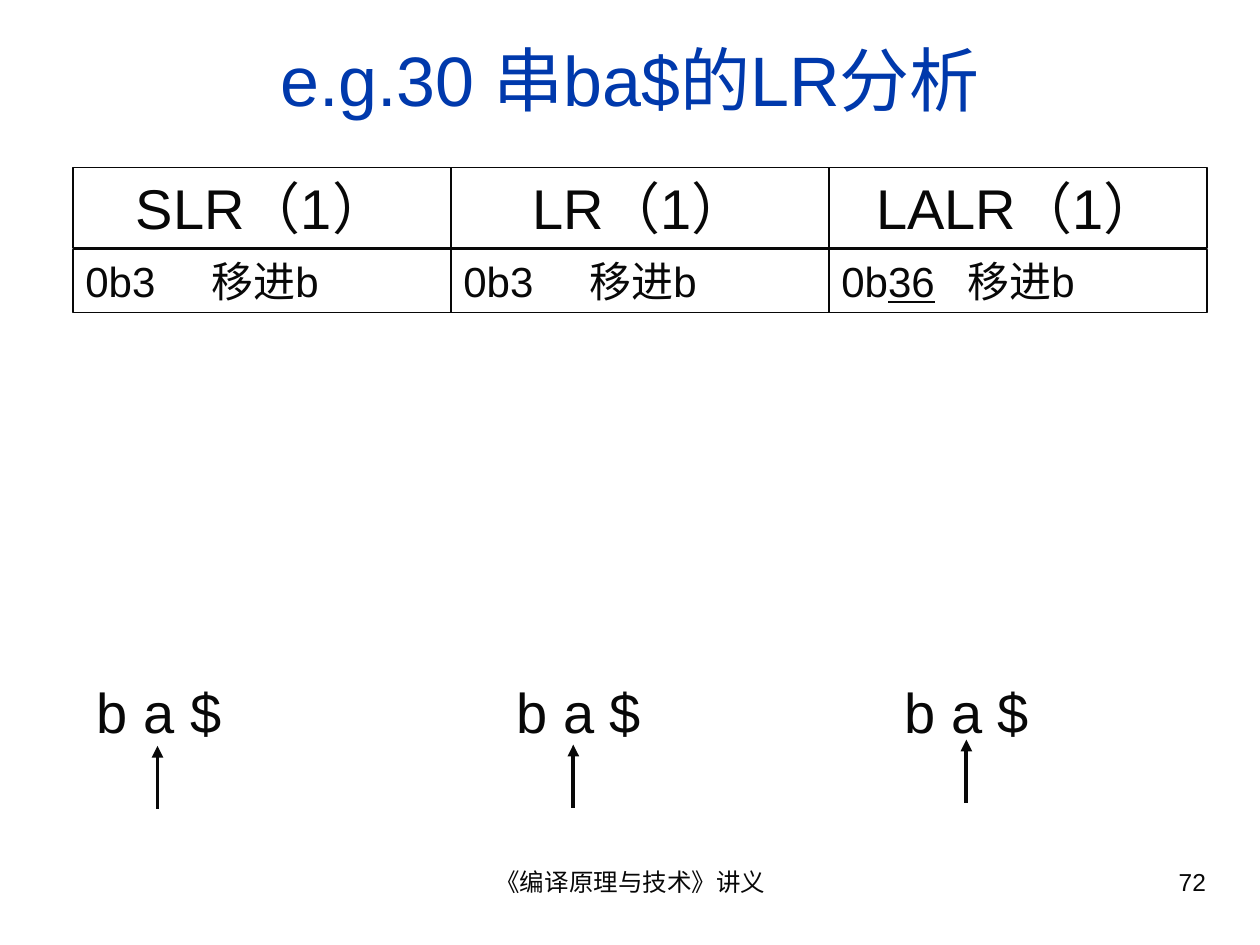
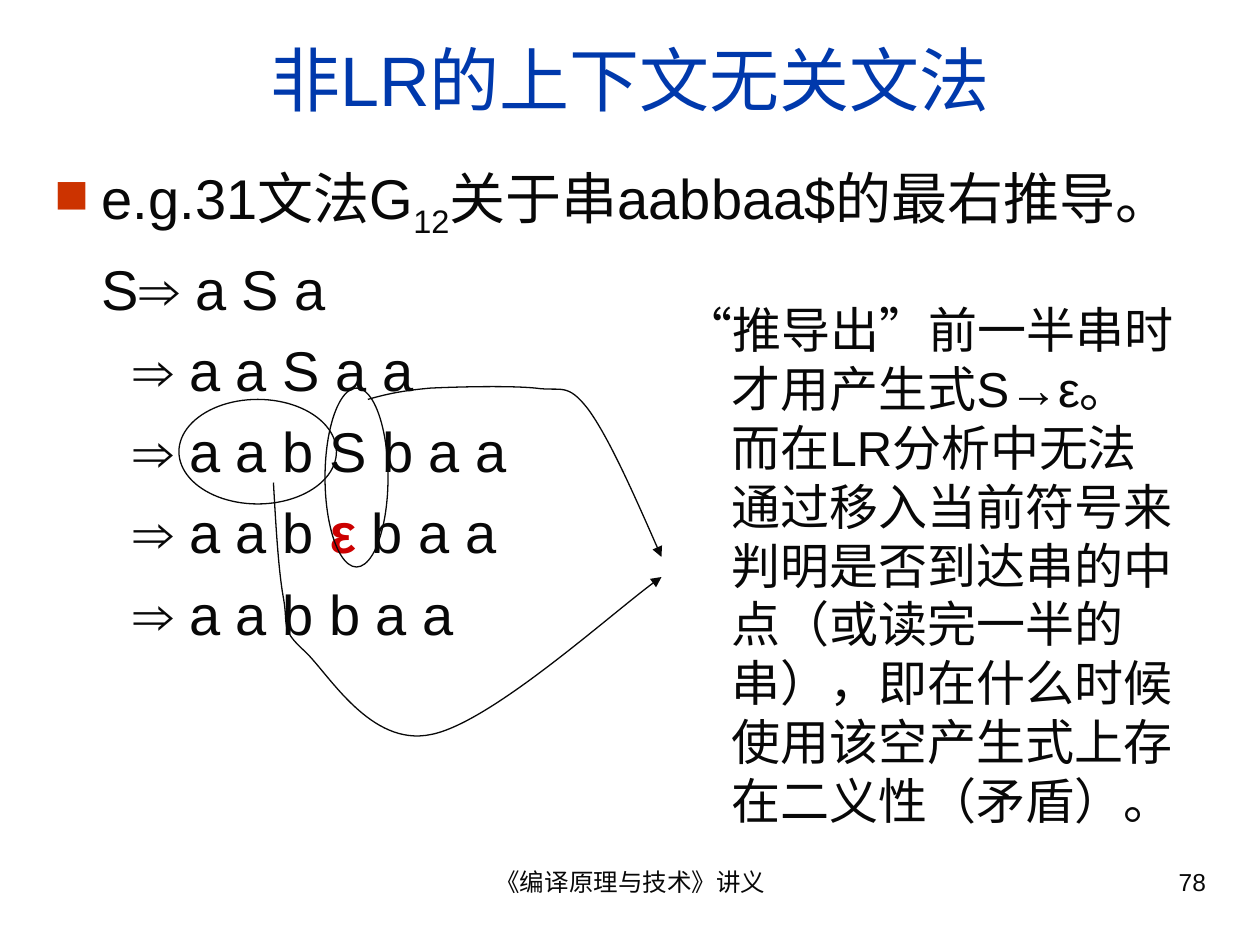
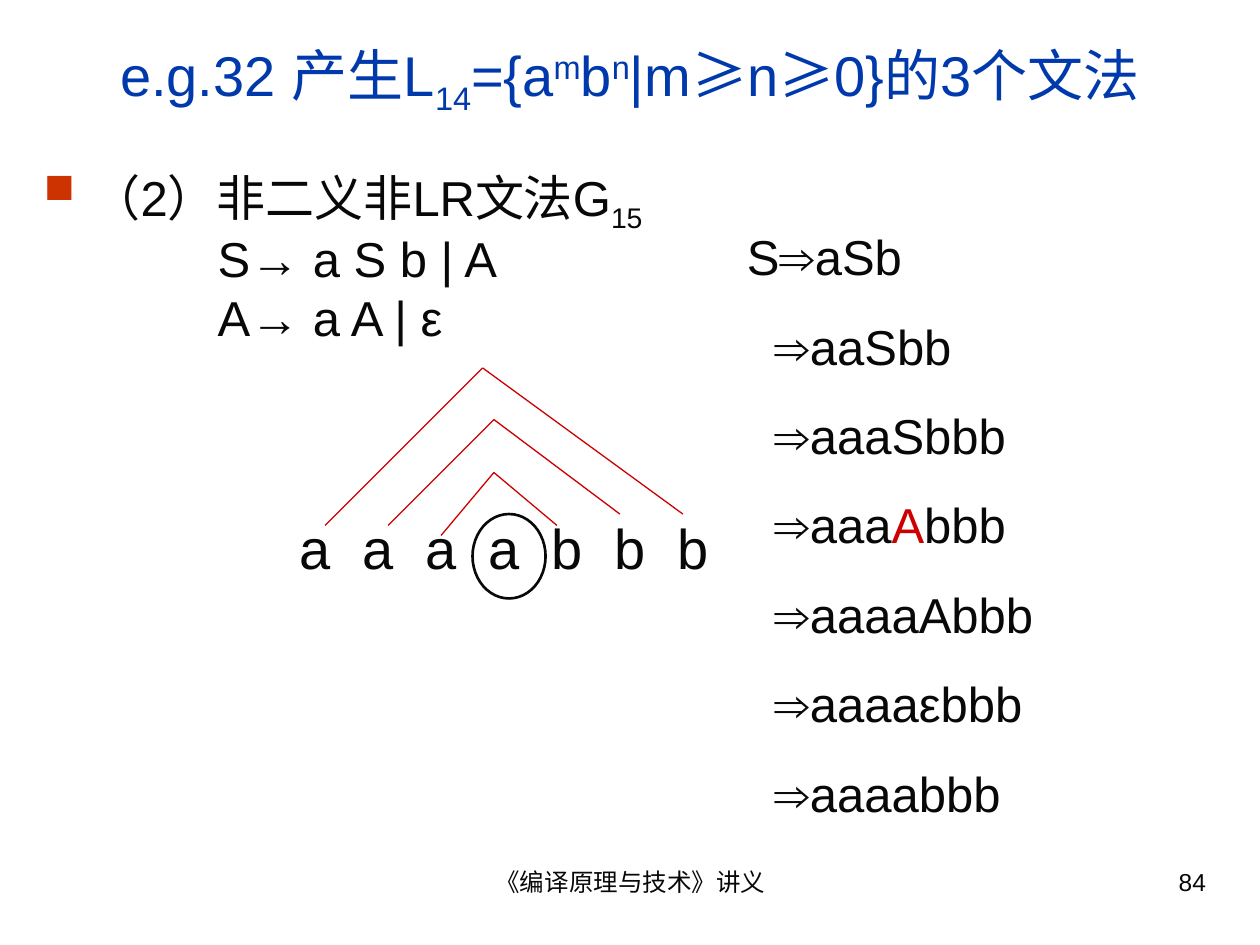
from itertools import pairwise

from lxml import etree
from pptx import Presentation
from pptx.dml.color import RGBColor
from pptx.enum.shapes import MSO_CONNECTOR, MSO_SHAPE
from pptx.enum.text import MSO_ANCHOR, PP_ALIGN
from pptx.oxml.ns import qn
from pptx.util import Inches, Pt

# Shared look
INK, BLUE, RED, BULLET = "080808", "0039AC", "CC0000", "CC3300"
LATIN, HAN = "Arial", "Noto Sans CJK SC"
FOOTER = "《编译原理与技术》讲义"
HANG = 0.38
SUB, SUP = {"base": -25}, {"base": 30}

# Slide 1: LR analysis; a paragraph is a list of (text, style) runs
LR_TITLE = [("e.g.30 串ba$的LR分析", {})]
LR_METHODS = ["SLR（1）", "LR（1）", "LALR（1）"]
# runs of the step and where its action starts
LR_STEPS = [
    ([("0b3\t移进b", {})], 1.75),
    ([("0b3\t移进b", {})], 1.84),
    ([("0b", {}), ("36", {"underline": True}), ("\t移进b", {})], 1.84),
]
# left of the input string, x and tip of its pointer
LR_INPUTS = [(0.67, 1.25, 5.92), (4, 4.55, 5.91), (7.08, 7.67, 5.87)]

# Slide 2: non-LR grammar
NON_LR_TITLE = [("非LR的上下文无关文法", {})]
NON_LR_HEADING = [("e.g.31文法G", {}), ("12", SUB),
                  ("关于串aabbaa$的最右推导。", {})]
NON_LR_STEPS = [
    [("S⇒ a S a", {})],
    [("⇒ a a S a a", {})],
    [("⇒ a a b S b a a", {})],
    [("⇒ a a b ", {}), ("ε", {"color": RED, "bold": True}), (" b a a", {})],
    [("⇒ a a b b a a", {})],
]
NON_LR_NOTE = [("“推导出”前一半串时才用产生式S→ε。而在LR分析中无法通过移入当前符号来"
                "判明是否到达串的中点（或读完一半的串），即在什么时候使用该空产生式上"
                "存在二义性（矛盾）。", {})]
HALVES = [(2.58, 3.08, 0.5, 1.42), (1.42, 3.17, 1.25, 0.83)]
# start point, then two controls and an end point for every curve
HALF_ARROWS = [
    [(2.17, 3.83), (2.19, 4.18), (2.21, 4.53), (2.25, 4.75),
     (2.29, 4.97), (2.22, 4.99), (2.42, 5.17),
     (2.61, 5.35), (2.94, 5.93), (3.42, 5.83),
     (3.89, 5.74), (4.94, 4.79), (5.25, 4.58)],
    [(2.92, 3.17), (3.06, 3.13), (3.19, 3.1), (3.42, 3.08),
     (3.64, 3.07), (4.04, 3.06), (4.25, 3.08),
     (4.46, 3.11), (4.5, 3.03), (4.67, 3.25),
     (4.83, 3.47), (5.04, 3.94), (5.25, 4.42)],
]

# Slide 3: three grammars of one language
L14_TITLE = [("e.g.32 产生L", {}), ("14", SUB), ("={a", {}), ("m", SUP),
             ("b", {}), ("n", SUP), ("|m", {}), ("≥", {"font": HAN}),
             ("n", {}), ("≥", {"font": HAN}), ("0}的3个文法", {})]
G15_HEADING = [("（2）非二义非LR文法G", {}), ("15", SUB)]
G15_RULES = ["S→ a S b | A", "A→ a A | ε"]
G15_STEPS = [
    [("S⇒aSb", {})],
    [("⇒aaSbb", {})],
    [("⇒aaaSbbb", {})],
    [("⇒aaa", {}), ("A", {"color": RED}), ("bbb", {})],
    [("⇒aaaaAbbb", {})],
    [("⇒aaaaεbbb", {})],
    [("⇒aaaabbb", {})],
]
SENTENCE = "aaaabbb"
LETTER_PITCH = 0.49
# left foot, apex, right foot of each matching pair
PAIRS = [
    [(2.58, 4.17), (3.83, 2.92), (5.42, 4.08)],
    [(3.08, 4.17), (3.92, 3.33), (4.92, 4.08)],
    [(3.5, 4.25), (3.92, 3.75), (4.42, 4.17)],
]


def rgb(color):
    return RGBColor.from_string(color)


def box(*lengths):
    return [Inches(length) for length in lengths]


def child(parent, tag, **attributes):
    element = etree.SubElement(parent, qn(tag))
    for key, value in attributes.items():
        element.set(key, str(value))
    return element


# Text
def fill_paragraph(paragraph, runs, size, color=INK, align=PP_ALIGN.LEFT,
                   before=0, line=None, left=0, first=0, bullet=False,
                   tabs=()):
    paragraph.alignment = align
    paragraph.space_before = Pt(before)
    if line:
        paragraph.line_spacing = line
    properties = paragraph._p.get_or_add_pPr()
    properties.set("marL", str(Inches(left)))
    properties.set("indent", str(Inches(first)))
    properties.set("hangingPunct", "0")
    if bullet:
        child(child(properties, "a:buClr"), "a:srgbClr", val=BULLET)
        child(properties, "a:buSzPct", val=85000)
        child(properties, "a:buFont", typeface="Wingdings", charset=2)
        child(properties, "a:buChar", char="n")
    else:
        child(properties, "a:buNone")
    if tabs:
        stops = child(properties, "a:tabLst")
        for stop in tabs:
            child(stops, "a:tab", pos=Inches(stop), algn="l")
    for text, style in runs:
        run = paragraph.add_run()
        run.text = text
        font = run.font
        font.size = Pt(size)
        font.bold = style.get("bold", False)
        font.underline = style.get("underline", False)
        font.color.rgb = rgb(style.get("color", color))
        font.name = style.get("font", LATIN)
        child(run._r.rPr, "a:ea", typeface=HAN)
        if "base" in style:
            run._r.rPr.set("baseline", str(style["base"] * 1000))


def fill_frame(frame, paragraphs, anchor=MSO_ANCHOR.TOP, **shared):
    """Each paragraph is its runs plus its own settings."""
    frame.word_wrap = True
    frame.vertical_anchor = anchor
    for index, (runs, settings) in enumerate(paragraphs):
        paragraph = frame.add_paragraph() if index else frame.paragraphs[0]
        options = shared | settings
        if index == 0:
            options["before"] = 0
        fill_paragraph(paragraph, runs, **options)


def add_text(slide, place, paragraphs, **shared):
    frame = slide.shapes.add_textbox(*box(*place)).text_frame
    fill_frame(frame, paragraphs, **shared)
    return frame


# Lines and outlines
def set_line(shape, color, width, arrow=False):
    shape.line.color.rgb = rgb(color)
    shape.line.width = Pt(width)
    if arrow:
        child(shape.line._get_or_add_ln(), "a:tailEnd", type="triangle")


def add_line(slide, start, end, color, width, arrow=False):
    line = slide.shapes.add_connector(MSO_CONNECTOR.STRAIGHT,
                                      *box(*start, *end))
    set_line(line, color, width, arrow)
    child(line._element.spPr, "a:effectLst")


def add_outline(slide, preset, place, width=0.75):
    outline = slide.shapes.add_shape(preset, *box(*place))
    outline.shadow.inherit = False
    outline.fill.background()
    set_line(outline, INK, width)
    return outline


def add_curve(slide, points):
    start, *rest = [box(*point) for point in points]
    builder = slide.shapes.build_freeform(*start)
    builder.add_line_segments(rest, close=False)
    curve = builder.convert_to_shape()
    # Turn every three segments into one cubic curve
    outline = curve._element.find(".//" + qn("a:path"))
    segments = outline.findall(qn("a:lnTo"))
    for index in range(0, len(segments), 3):
        cubic = child(outline, "a:cubicBezTo")
        for segment in segments[index:index + 3]:
            cubic.append(segment[0])
            outline.remove(segment)
    curve.shadow.inherit = False
    curve.fill.background()
    set_line(curve, INK, 0.75, arrow=True)


# Slides
def new_slide(deck, title, number, title_size=40):
    slide = deck.slides.add_slide(deck.slide_layouts[6])
    add_text(slide, (3.42, 6.83, 3.17, 0.52), [([(FOOTER, {})], {})],
             size=14, align=PP_ALIGN.CENTER)
    add_text(slide, (7.17, 6.83, 2.5, 0.52), [([(str(number), {})], {})],
             size=14, align=PP_ALIGN.RIGHT)
    add_text(slide, (0.33, 0.25, 9.34, 0.75), [(title, {})],
             anchor=MSO_ANCHOR.MIDDLE, size=title_size, color=BLUE,
             align=PP_ALIGN.CENTER)
    return slide


def add_lr_analysis(deck):
    slide = new_slide(deck, LR_TITLE, 72)
    # Method above its step, column by column
    for column, (method, (step, action)) in enumerate(
            zip(LR_METHODS, LR_STEPS)):
        left = 0.58 + 3 * column
        head = add_outline(slide, MSO_SHAPE.RECTANGLE, (left, 1.33, 3, 0.64))
        fill_frame(head.text_frame, [([(method, {})], {})], size=32,
                   align=PP_ALIGN.CENTER, left=HANG, first=-HANG)
        body = add_outline(slide, MSO_SHAPE.RECTANGLE, (left, 1.98, 3, 0.5))
        fill_frame(body.text_frame, [(step, {})], size=24, tabs=[action])
    for left, pointer, tip in LR_INPUTS:
        add_text(slide, (left, 5.33, 1.83, 0.64), [([("b a $", {})], {})],
                 size=32)
        add_line(slide, (pointer, tip + 0.5), (pointer, tip), INK, 2.25,
                 arrow=True)


def add_non_lr(deck):
    slide = new_slide(deck, NON_LR_TITLE, 78)
    heading = (NON_LR_HEADING, {"left": HANG, "first": -HANG, "bullet": True})
    steps = [(step, {"left": 0.63 if index else HANG})
             for index, step in enumerate(NON_LR_STEPS)]
    add_text(slide, (0.33, 1.25, 9.34, 5.42), [heading, *steps],
             size=32, before=8)
    for half in HALVES:
        add_outline(slide, MSO_SHAPE.OVAL, half)
    for points in HALF_ARROWS:
        add_curve(slide, points)
    add_text(slide, (5.33, 2.33, 4.08, 4.31), [(NON_LR_NOTE, {})],
             size=28, left=HANG, first=-HANG)


def add_g15(deck):
    slide = new_slide(deck, L14_TITLE, 84, title_size=32)
    heading = (G15_HEADING, {"left": HANG, "first": -HANG, "bullet": True})
    rules = [([(rule, {})], {"left": HANG + 1}) for rule in G15_RULES]
    add_text(slide, (0.25, 1.33, 9.34, 1.58), [heading, *rules],
             size=28, before=7, line=0.8)
    # Sentence with its matching pairs
    stops = [LETTER_PITCH * index for index in range(1, len(SENTENCE))]
    sentence = add_text(slide, (1.33, 4.03, 5.33, 0.64),
                        [([("\t".join(SENTENCE), {})], {})],
                        size=32, tabs=stops)
    sentence.margin_left = Inches(1.05)
    for pair in PAIRS:
        for start, end in pairwise(pair):
            add_line(slide, start, end, RED, 0.75)
    add_outline(slide, MSO_SHAPE.OVAL, (3.75, 4.08, 0.58, 0.67), 1.5)
    # Derivation
    steps = [(step, {"left": 0.22 if index else 0})
             for index, step in enumerate(G15_STEPS)]
    add_text(slide, (5.83, 1.75, 3.33, 4.83), steps, size=28, before=17.5)


def main():
    deck = Presentation()
    deck.slide_width, deck.slide_height = box(10, 7.5)
    add_lr_analysis(deck)
    add_non_lr(deck)
    add_g15(deck)
    deck.save("out.pptx")


if __name__ == "__main__":
    main()
